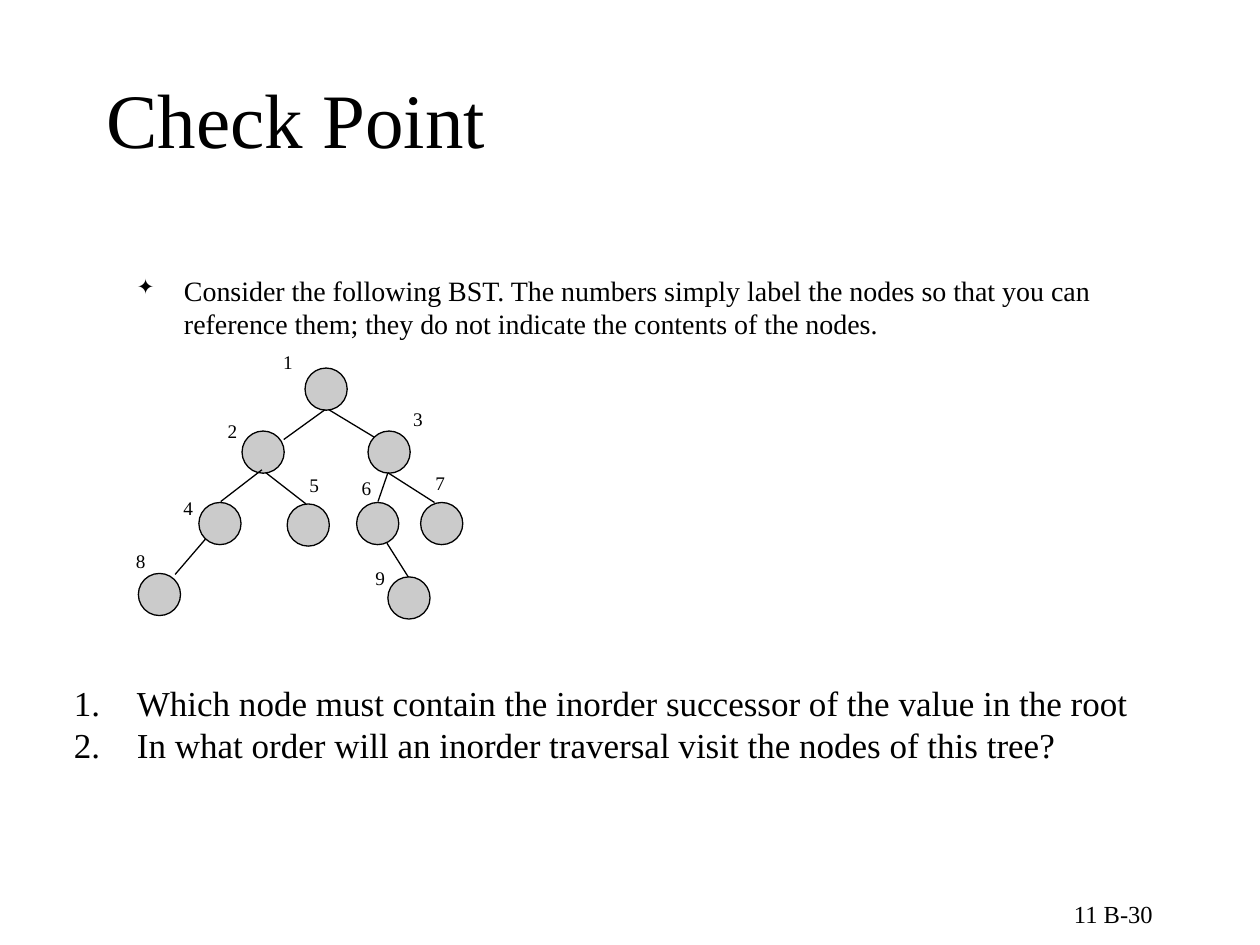
import pptx
import pptx.dml.color
import pptx.enum.shapes
import pptx.enum.text
import pptx.oxml
import pptx.oxml.ns
import pptx.util

Cm = pptx.util.Cm
Pt = pptx.util.Pt
Anchor = pptx.enum.text.MSO_ANCHOR
Align = pptx.enum.text.PP_ALIGN


def tint(code):
    return pptx.dml.color.RGBColor.from_string(code)


class Board:
    """Draws styled elements on one slide."""

    face = "Times New Roman"
    ink = "000000"
    fill = "CBCBCB"
    line = 0.75

    def __init__(self, slide):
        self.shapes = slide.shapes
        self.group = slide.shapes.add_group_shape()

    def text(self, box, lines, size, anchor=Anchor.TOP, align=Align.LEFT, indent=0, marks=()):
        frame = self.shapes.add_textbox(*map(Cm, box)).text_frame
        look = {"word_wrap": True, "vertical_anchor": anchor}
        for key, value in look.items():
            setattr(frame, key, value)
        for row, words in enumerate(lines):
            para = frame.add_paragraph() if row else frame.paragraphs[0]
            para.alignment = align
            if marks:
                self.mark(para, indent, marks)
            run = para.add_run()
            run.text = words
            style = {"name": self.face, "size": Pt(size)}
            for key, value in style.items():
                setattr(run.font, key, value)
            run.font.color.rgb = tint(self.ink)

    def mark(self, para, indent, marks):
        props = para._p.get_or_add_pPr()
        props.set("marL", str(Cm(indent)))
        props.set("indent", str(-Cm(indent)))
        space = pptx.oxml.ns.nsdecls("a")
        for tag, key, value in marks:
            props.append(pptx.oxml.parse_xml(f'<a:{tag} {space} {key}="{value}"/>'))

    def node(self, left, top, size=0.85):
        oval = pptx.enum.shapes.MSO_SHAPE.OVAL
        shape = self.group.shapes.add_shape(oval, *map(Cm, (left, top, size, size)))
        shape.shadow.inherit = False
        shape.fill.solid()
        shape.fill.fore_color.rgb = tint(self.fill)
        self.stroke(shape)

    def edge(self, *ends):
        kind = pptx.enum.shapes.MSO_CONNECTOR.STRAIGHT
        link = self.shapes.add_connector(kind, *map(Cm, ends))
        space = pptx.oxml.ns.nsdecls("a")
        self.stroke(link)
        link._element.spPr.append(pptx.oxml.parse_xml(f"<a:effectLst {space}/>"))

    def stroke(self, shape):
        shape.line.color.rgb = tint(self.ink)
        shape.line.width = Pt(self.line)


def main():
    deck = pptx.Presentation()
    deck.slide_width, deck.slide_height = Cm(25.4), Cm(19.05)
    board = Board(deck.slides.add_slide(deck.slide_layouts[6]))

    nodes = {
        "1": ((6.15, 7.42), (5.46, 6.93)),
        "2": ((4.88, 8.69), (4.34, 8.33)),
        "3": ((7.42, 8.69), (8.08, 8.08)),
        "4": ((4.01, 10.13), (3.45, 9.88)),
        "5": ((5.79, 10.16), (5.99, 9.42)),
        "6": ((7.19, 10.13), (7.04, 9.47)),
        "7": ((8.48, 10.13), (8.53, 9.37)),
        "8": ((2.79, 11.56), (2.49, 10.95)),
        "9": ((7.82, 11.63), (7.32, 11.3)),
    }
    edges = [
        (6.55, 8.26, 5.72, 8.86),
        (6.63, 8.26, 7.54, 8.81),
        (5.28, 9.47, 4.45, 10.11),
        (5.36, 9.53, 6.17, 10.16),
        (4.14, 10.87, 3.53, 11.58),
        (7.82, 9.53, 7.62, 10.11),
        (7.82, 9.53, 8.76, 10.13),
        (7.8, 10.95, 8.23, 11.63),
    ]
    star = [("buSzPct", "val", 75000), ("buChar", "char", "✦")]
    count = [("buAutoNum", "type", "arabicPeriod")]

    board.text((1.9, 0.79, 21.6, 3.18), ["Check Point"], 44, Anchor.MIDDLE)
    board.text(
        (2.51, 5.38, 21.6, 11.23),
        ["Consider the following BST. The numbers simply label the nodes so that you can "
         "reference them; they do not indicate the contents of the nodes."],
        16, indent=0.95, marks=star,
    )
    board.text((18.21, 17.78, 5.28, 1.27), ["11 B-30"], 14, Anchor.MIDDLE, Align.RIGHT)
    for spot, _ in nodes.values():
        board.node(*spot)
    for ends in edges:
        board.edge(*ends)
    for name, (_, spot) in nodes.items():
        board.text((*spot, 0.72, 0.74), [name], 11)
    board.text(
        (1.24, 13.61, 21.9, 1.96),
        ["Which node must contain the inorder successor of the value in the root",
         "In what order will an inorder traversal visit the nodes of this tree?"],
        20, indent=1.27, marks=count,
    )
    deck.save("out.pptx")


if __name__ == "__main__":
    main()
